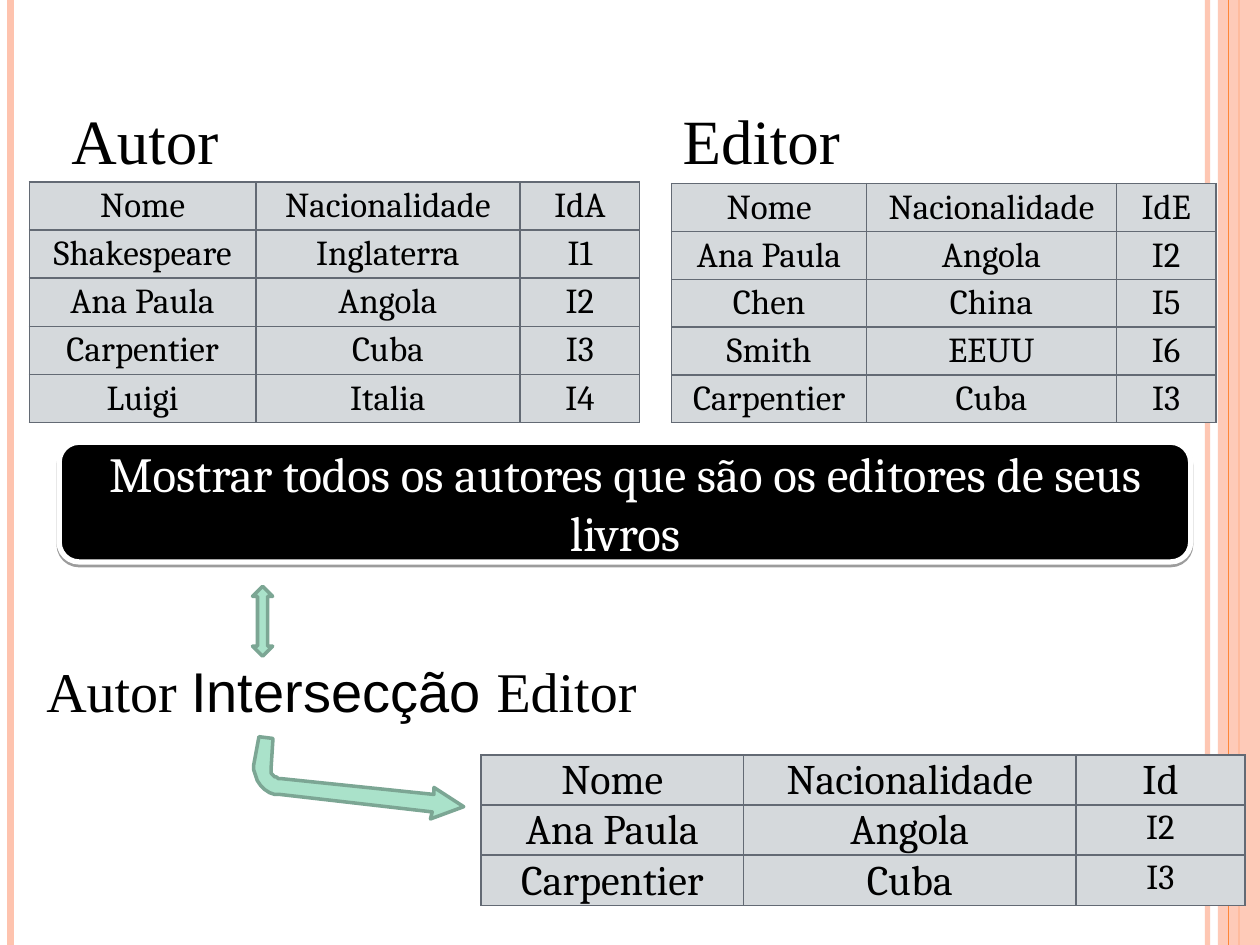
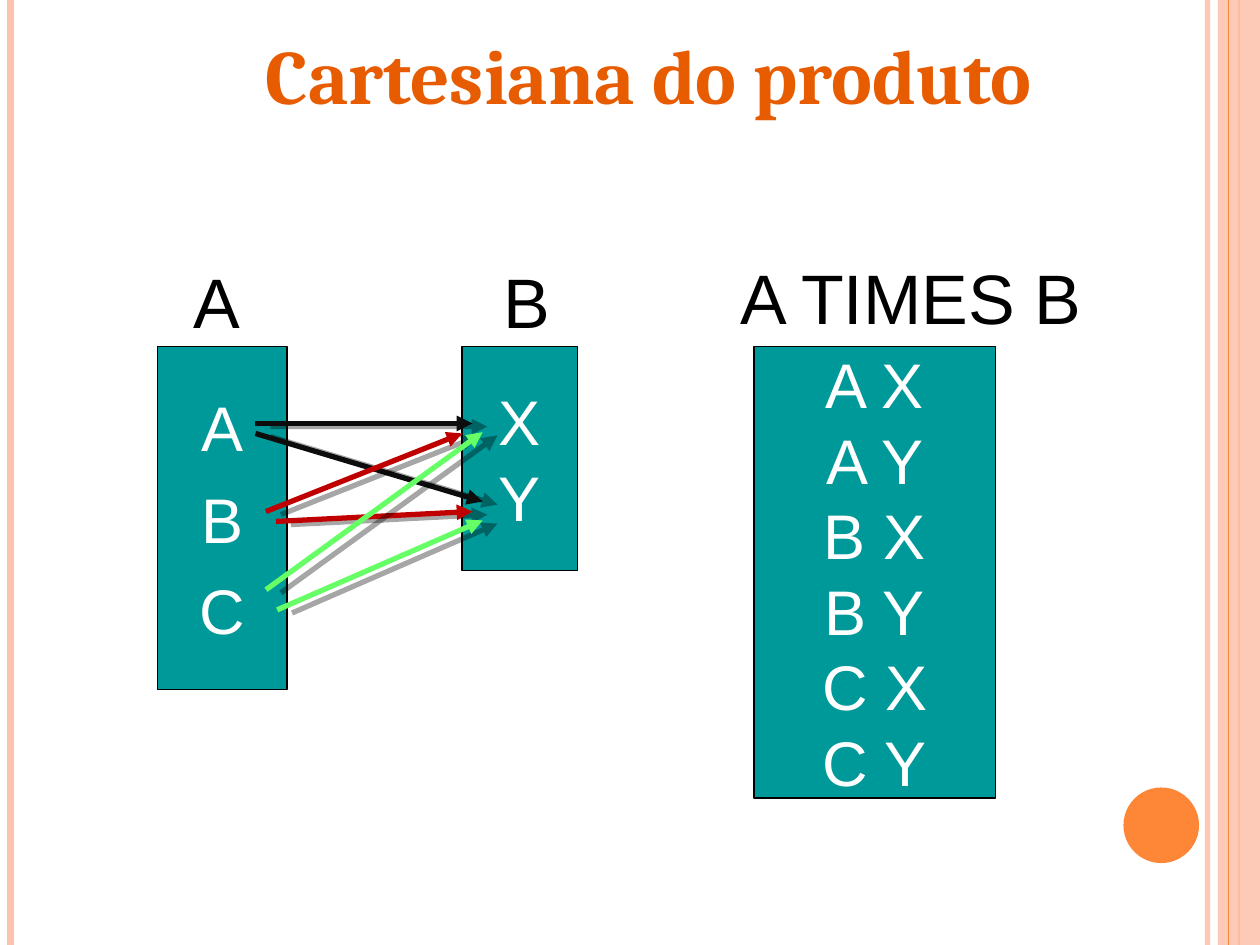
import pptx
import pptx.util
import pptx.dml.color
import pptx.enum.shapes
import pptx.enum.text
import pptx.oxml
import pptx.oxml.ns
import lxml.etree

Pt = pptx.util.Pt
RGB = pptx.dml.color.RGBColor
SHAPE = pptx.enum.shapes.MSO_SHAPE
ALIGN = pptx.enum.text.PP_ALIGN
ANCHOR = pptx.enum.text.MSO_ANCHOR
qn = pptx.oxml.ns.qn

BLACK = RGB(0x00, 0x00, 0x00)
WHITE = RGB(0xFF, 0xFF, 0xFF)
PEACH = RGB(0xFE, 0xC3, 0xAE)
ORANGE = RGB(0xFE, 0x86, 0x37)
TITLE_ORANGE = RGB(0xE7, 0x5C, 0x01)
TEAL = RGB(0x00, 0x99, 0x99)
MINT = RGB(0xAA, 0xE2, 0xCA)
MINT_EDGE = RGB(0x7C, 0xA6, 0x94)
CELL_GRAY = RGB(0xD5, 0xD9, 0xDC)
GRID_GRAY = RGB(0x63, 0x6A, 0x74)
INK = RGB(0x0D, 0x0D, 0x0D)
RED = RGB(0xC0, 0x00, 0x00)
GREEN = RGB(0x66, 0xFF, 0x66)

SERIF, SANS, ROMAN = "Cambria", "Arial", "Times New Roman"
WIDTH, HEIGHT = 720, 540


def child(parent, tag, **attrs):
    el = lxml.etree.SubElement(parent, qn(tag))
    for name, value in attrs.items():
        el.set(name, str(value))
    return el


def set_alpha(color_parent, percent):
    color = next(color_parent.iter(qn("a:srgbClr")))
    child(color, "a:alpha", val=percent * 1000)


def curve(p0, p1, p2, p3, steps=8):
    """Points along a cubic Bezier curve, without its start."""
    points = []
    for i in range(1, steps + 1):
        t = i / steps
        weights = ((1 - t) ** 3, 3 * t * (1 - t) ** 2, 3 * t * t * (1 - t), t ** 3)
        points.append(tuple(sum(w * p[axis] for w, p in zip(weights, (p0, p1, p2, p3)))
                            for axis in (0, 1)))
    return points


class Deck:
    def __init__(self):
        self.prs = pptx.Presentation()
        self.prs.slide_width, self.prs.slide_height = Pt(WIDTH), Pt(HEIGHT)
        self.s = None

    def new_slide(self):
        self.s = self.prs.slides.add_slide(self.prs.slide_layouts[6])
        # Side bands and page-number disc
        self.line((690, 0), (690, HEIGHT), PEACH, 3, alpha=93)
        self.line((6, 0), (6, HEIGHT), PEACH, 4.5)
        self.line((708, 0), (708, HEIGHT), ORANGE, 1.5)
        band = self.shape(SHAPE.RECTANGLE, 696, 0, 24, HEIGHT, PEACH)
        set_alpha(band._element.spPr.find(qn("a:solidFill")), 87)
        self.line((702, 0), (702, HEIGHT), ORANGE, 0.75)
        self.shape(SHAPE.OVAL, 642, 450, 43.2, 43.2, ORANGE)

    def paint(self, sp, fill, edge=None, weight=1):
        sp.shadow.inherit = False
        sp.fill.solid()
        sp.fill.fore_color.rgb = fill
        if edge is None:
            sp.line.fill.background()
        else:
            sp.line.color.rgb = edge
            sp.line.width = Pt(weight)

    def shape(self, kind, x, y, w, h, fill, edge=None, weight=1):
        sp = self.s.shapes.add_shape(kind, Pt(x), Pt(y), Pt(w), Pt(h))
        self.paint(sp, fill, edge, weight)
        return sp

    def outline(self, points, fill, edge, weight):
        builder = self.s.shapes.build_freeform(*points[0], scale=Pt(1))
        builder.add_line_segments(points[1:], close=True)
        self.paint(builder.convert_to_shape(), fill, edge, weight)

    def shadow(self, sp, alpha, dist, angle):
        spPr = sp._element.spPr
        effects = spPr.find(qn("a:effectLst"))
        if effects is None:
            effects = child(spPr, "a:effectLst")
        outer = child(effects, "a:outerShdw", blurRad=0, dist=int(Pt(dist)),
                      dir=angle * 60000, algn="ctr", rotWithShape=0)
        child(outer, "a:srgbClr", val=str(BLACK))
        set_alpha(outer, alpha)

    def line(self, start, end, color, weight, alpha=None):
        cx = self.s.shapes.add_connector(pptx.enum.shapes.MSO_CONNECTOR.STRAIGHT,
                                         *map(Pt, start + end))
        cx.line.color.rgb = color
        cx.line.width = Pt(weight)
        if alpha:
            set_alpha(cx._element.spPr, alpha)
        child(cx._element.spPr, "a:effectLst")
        return cx

    def arrow(self, start, end, color):
        cx = self.line(start, end, color, 3)
        child(cx.line._get_or_add_ln(), "a:tailEnd", type="triangle")
        self.shadow(cx, 35, 8.7, 12)

    def style(self, p, size, font, color=BLACK, bold=False):
        p.font.size, p.font.name, p.font.bold = Pt(size), font, bold
        p.font.color.rgb = color

    def text(self, x, y, w, h, text, size, font, color=BLACK, bold=False):
        tf = self.s.shapes.add_textbox(Pt(x), Pt(y), Pt(w), Pt(h)).text_frame
        tf.word_wrap = True
        p = tf.paragraphs[0]
        p.text = text
        self.style(p, size, font, color, bold)
        return p

    def fill_text(self, sp, lines, size, font, before=0, wrap=True):
        tf = sp.text_frame
        tf.word_wrap = wrap
        tf.vertical_anchor = ANCHOR.MIDDLE
        for i, line in enumerate(lines):
            p = tf.add_paragraph() if i else tf.paragraphs[0]
            p.text = line
            p.alignment = ALIGN.CENTER
            p.space_before = Pt(before)
            self.style(p, size, font, WHITE)

    def set_box(self, x, w, h, members, before=0):
        sp = self.shape(SHAPE.RECTANGLE, x, 198, w, h, TEAL, BLACK, 0.75)
        self.fill_text(sp, members, 36, SANS, before, wrap=False)

    def table(self, x, y, widths, row_h, rows, size, top, id_size=20):
        table = self.s.shapes.add_table(len(rows), len(widths), Pt(x), Pt(y),
                                        Pt(sum(widths)), Pt(row_h * len(rows))).table
        for col, width in zip(table.columns, widths):
            col.width = Pt(width)
        for r, row in enumerate(rows):
            table.rows[r].height = Pt(row_h)
            for c, text in enumerate(row):
                is_id = r > 0 and c == len(row) - 1
                self.cell(table.cell(r, c), text, id_size if is_id else size, top)

    def cell(self, cell, text, size, top):
        cell.margin_left = cell.margin_right = Pt(3.6)
        cell.margin_top, cell.margin_bottom = Pt(top), 0
        p = cell.text_frame.paragraphs[0]
        p.text = text
        p.alignment = ALIGN.CENTER
        p.line_spacing = 0.87
        self.style(p, size, SERIF)
        tcPr = cell._tc.get_or_add_tcPr()
        for side in ("a:lnL", "a:lnR", "a:lnT", "a:lnB"):
            ln = child(tcPr, side, w=int(Pt(1)))
            child(child(ln, "a:solidFill"), "a:srgbClr", val=str(GRID_GRAY))
        cell.fill.solid()
        cell.fill.fore_color.rgb = CELL_GRAY


def intersection_slide(deck):
    deck.new_slide()
    # Source tables
    deck.table(16.8, 104, (129.4, 151, 68.4), 27.5, [
        ("Nome", "Nacionalidade", "IdA"),
        ("Shakespeare", "Inglaterra", "I1"),
        ("Ana Paula", "Angola", "I2"),
        ("Carpentier", "Cuba", "I3"),
        ("Luigi", "Italia", "I4")], 20, 4.3)
    deck.table(383.8, 105, (111.4, 142.8, 56.8), 27.3, [
        ("Nome", "Nacionalidade", "IdE"),
        ("Ana Paula", "Angola", "I2"),
        ("Chen", "China", "I5"),
        ("Smith", "EEUU", "I6"),
        ("Carpentier", "Cuba", "I3")], 20, 4.3)
    deck.text(33.8, 54.7, 133, 51, "Autor", 36, ROMAN)
    deck.text(383, 54.7, 136, 51, "Editor", 36, ROMAN)

    # Query banner
    banner = deck.shape(SHAPE.ROUNDED_RECTANGLE, 33.8, 252.7, 646.6, 68.4, BLACK, WHITE, 3)
    deck.shadow(banner, 38, 1.6, 90)
    deck.fill_text(banner, ["Mostrar todos os autores que são os editores de seus livros"],
                   28, SERIF)

    # Result table
    deck.table(275, 431.3, (149.8, 190.2, 96.4), 28.5, [
        ("Nome", "Nacionalidade", "Id"),
        ("Ana Paula", "Angola", "I2"),
        ("Carpentier", "Cuba", "I3")], 24, 3.6)

    # Operation and its arrows
    p = deck.text(19.4, 371.5, 363, 46, "", 32, ROMAN)
    for text, font in (("Autor ", ROMAN), ("Intersecção ", SANS), ("Editor", ROMAN)):
        r = p.add_run()
        r.text = text
        r.font.name = font
    outer = curve((145.4, 437), (144.7, 445.7), (151.2, 453.6), (159.8, 454.3))
    inner = curve((160.6, 445), (157, 445), (154.1, 441.4), (154.8, 437.8))
    bent_arrow = ([(147.6, 421.2), (145.4, 437)] + outer
                  + [(247, 463.7), (246.2, 468), (265, 460.8), (247.7, 450), (247.7, 454.3),
                     (160.6, 445)] + inner + [(156.2, 421.9)])
    deck.outline(bent_arrow, MINT, MINT_EDGE, 2)
    deck.shape(SHAPE.UP_DOWN_ARROW, 144.3, 335, 11.5, 40, MINT, MINT_EDGE, 2)


def product_slide(deck):
    deck.new_slide()
    # Sets and their product
    deck.set_box(90, 74, 196, "ABC", before=9)
    deck.set_box(264, 66, 128, "XY")
    deck.set_box(430.8, 138, 258, [f"{a} {b}" for a in "ABC" for b in "XY"])
    for x, y, w, name in ((103.7, 144, 40, "A"), (280.8, 144, 34, "B"),
                          (416, 141.8, 222, "A TIMES B")):
        deck.text(x, y, w, 56, name, 40, SANS)

    # Pairings
    for start, end, color in (
            ((146, 242), (270, 242), INK), ((146, 247.7), (275.8, 286.6), INK),
            ((152, 292.3), (264.2, 247.7), RED), ((157.7, 298), (270, 292.3), RED),
            ((152, 337), (275.8, 247), GREEN), ((158.4, 348.5), (275.8, 297.4), GREEN)):
        deck.arrow(start, end, color)
    deck.text(144.7, 12.2, 535.7, 60.5, "Cartesiana do produto", 44, SERIF, TITLE_ORANGE, True)


def main():
    deck = Deck()
    intersection_slide(deck)
    product_slide(deck)
    deck.prs.save("out.pptx")


if __name__ == "__main__":
    main()
